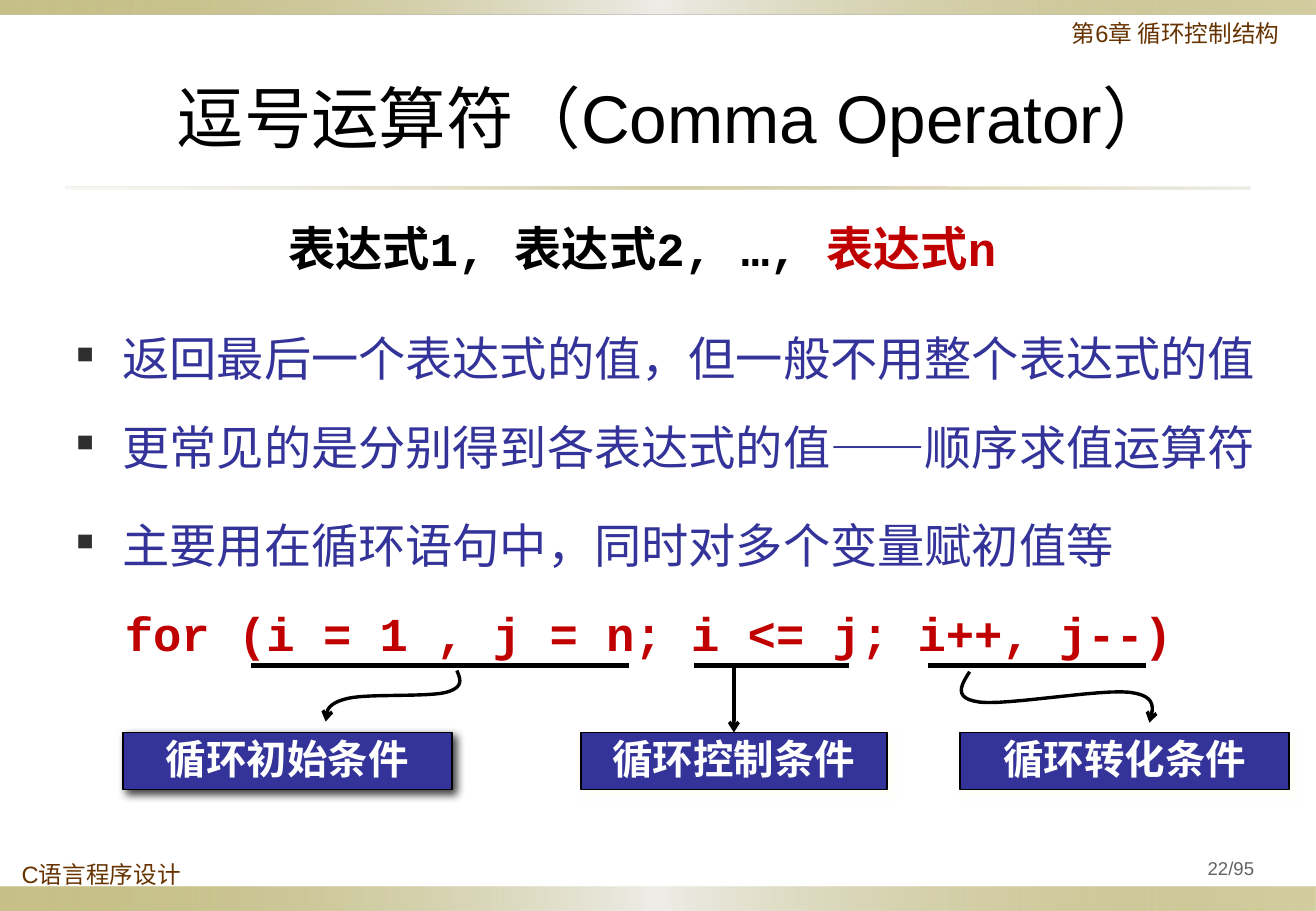
from lxml import etree
from pptx import Presentation, util as u
from pptx.dml.color import RGBColor
from pptx.enum import shapes, text
from pptx.oxml.ns import qn

PX = 9144
CJK = "Noto Sans CJK SC"
rgb = RGBColor.from_string


def px(*lengths):
    return [u.Emu(length * PX) for length in lengths]


def add_run(paragraph, words, size, font, color, bold=False):
    run = paragraph.add_run()
    run.text = words
    run.font.size = u.Pt(size)
    run.font.name = font
    run.font.bold = bold
    run.font.color.rgb = rgb(color)
    etree.SubElement(run.font._element, qn("a:ea"), typeface=CJK)


prs = Presentation()
prs.slide_width, prs.slide_height = px(1083, 750)
slide = prs.slides.add_slide(prs.slide_layouts[5])
items = slide.shapes

gold_bar = [("918415", 50), ("EEEDE8", 100), ("918415", 40)]
title_rule = [("DCD9CC", 20), ("918415", 40), ("DCD9CC", 50)]
for place, stops in [
    ((0, 730, 1083, 20), gold_bar),
    ((0, 0, 1083, 12), gold_bar),
    ((54, 154, 975, 2), title_rule),
]:
    band = items.add_shape(shapes.MSO_SHAPE.RECTANGLE, *px(*place))
    band.shadow.inherit = False
    band.line.fill.background()
    band.fill.gradient()
    band.fill.gradient_angle = 0
    stop_list = band._element.spPr.find(".//" + qn("a:gsLst"))
    stop_list.clear()
    for index, (color, alpha) in enumerate(stops):
        stop = etree.SubElement(stop_list, qn("a:gs"), pos=str(index * 50000))
        tint = etree.SubElement(stop, qn("a:srgbClr"), val=color)
        etree.SubElement(tint, qn("a:alpha"), val=str(alpha * 1000))

title = items.title
title.left, title.top, title.width, title.height = px(59, 52, 990, 88)
title.text_frame.auto_size = text.MSO_AUTO_SIZE.NONE
title.text_frame.vertical_anchor = text.MSO_ANCHOR.MIDDLE
heading = title.text_frame.paragraphs[0]
heading.alignment = text.PP_ALIGN.CENTER
add_run(heading, "逗号运算符（Comma Operator）", 40, "Arial", "000000")

LEFT, CENTER = text.PP_ALIGN.LEFT, text.PP_ALIGN.CENTER
for place, inset, align, anchor, runs in [
    ((8, 706, 156, 32), (10, 5), LEFT, text.MSO_ANCHOR.TOP,
     [("C语言程序设计", 14, "Arial", "663300")]),
    ((872, 13, 211, 39), (10, 5), LEFT, text.MSO_ANCHOR.TOP,
     [("第6章 循环控制结构", 14, "Arial", "663300")]),
    ((132, 186, 793, 43), (0, 0), CENTER, text.MSO_ANCHOR.TOP,
     [("表达式1, 表达式2, …, ", 28, "Courier New", "000000", True),
      ("表达式n", 28, "Courier New", "C00000", True)]),
    ((959, 700, 108, 31), (5, 5), CENTER, text.MSO_ANCHOR.MIDDLE,
     [("22/95", 11, "Arial", "636363")]),
]:
    frame = items.add_textbox(*px(*place)).text_frame
    frame.word_wrap = True
    frame.vertical_anchor = anchor
    frame.margin_left, frame.margin_top = px(*inset)
    frame.margin_right, frame.margin_bottom = px(*inset)
    frame.paragraphs[0].alignment = align
    frame.paragraphs[0].line_spacing = 0.9
    for run in runs:
        add_run(frame.paragraphs[0], *run)

body = items.add_textbox(*px(53, 257, 993, 282)).text_frame
body.word_wrap = True
for index, (words, before) in enumerate([
    ("返回最后一个表达式的值，但一般不用整个表达式的值", 0),
    ("更常见的是分别得到各表达式的值——顺序求值运算符", 6),
    ("主要用在循环语句中，同时对多个变量赋初值等", 12),
    ("for (i = 1 , j = n; i <= j; i++, j--)", 6),
]):
    point = body.add_paragraph() if index else body.paragraphs[0]
    point.line_spacing = 1.2
    point.space_before = u.Pt(before)
    point.space_after = u.Pt(6)
    props = point._element.get_or_add_pPr()
    if index == 3:
        props.set("marL", str(40 * PX))
        add_run(point, words, 28, "Courier New", "C00000", True)
    else:
        props.set("marL", str(38 * PX))
        props.set("indent", str(-38 * PX))
        bullet_color = etree.SubElement(props, qn("a:buClr"))
        etree.SubElement(bullet_color, qn("a:srgbClr"), val="2F2F2F")
        etree.SubElement(props, qn("a:buSzPct"), val="50000")
        etree.SubElement(props, qn("a:buChar"), char="■")
        add_run(point, words, 28, CJK, "333399")

conditions = []
for words, left, width, shade in [
    ("循环初始条件", 101, 271, "000000"),
    ("循环控制条件", 478, 252, "FFFFF4"),
    ("循环转化条件", 790, 271, "FFFFF4"),
]:
    condition = items.add_shape(shapes.MSO_SHAPE.RECTANGLE, *px(left, 603, width, 47))
    condition.fill.solid()
    condition.fill.fore_color.rgb = rgb("333399")
    condition.line.color.rgb = rgb("000000")
    condition.line.width = u.Pt(1)
    condition.shadow.inherit = False
    effects = condition._element.spPr.find(qn("a:effectLst"))
    shadow = etree.SubElement(effects, qn("a:outerShdw"), blurRad=str(u.Pt(5)),
                              dist=str(u.Pt(3)), dir="2700000", rotWithShape="0")
    shadow_color = etree.SubElement(shadow, qn("a:srgbClr"), val=shade)
    etree.SubElement(shadow_color, qn("a:alpha"), val="75000")
    condition.text_frame.vertical_anchor = text.MSO_ANCHOR.MIDDLE
    label = condition.text_frame.paragraphs[0]
    label.alignment = CENTER
    label.line_spacing = 0.9
    add_run(label, words, 24, CJK, "FFFFFF", True)
    conditions.append(condition)

arrows = []
for curve in [
    [(376, 552), (379, 559), (382, 566), (367, 570), (352, 574),
     (302, 571), (286, 575), (269, 579), (268, 586), (268, 594)],
    [(798, 553), (791, 564), (784, 575), (806, 578), (828, 581),
     (906, 567), (930, 570), (953, 573), (949, 584), (946, 595)],
]:
    points = []
    for first in range(0, 9, 3):
        a, b, c, d = curve[first:first + 4]
        for step in range(1, 13):
            t = step / 12
            points.append([
                PX * ((1 - t) ** 3 * a[k] + 3 * t * (1 - t) ** 2 * b[k]
                      + 3 * t ** 2 * (1 - t) * c[k] + t ** 3 * d[k])
                for k in (0, 1)
            ])
    builder = items.build_freeform(*px(*curve[0]))
    builder.add_line_segments(points, close=False)
    arrow = builder.convert_to_shape()
    arrow.fill.background()
    arrow.shadow.inherit = False
    arrows.append(arrow)

for start, end, top, bottom, weight in [
    (207, 518, 548, 548, 3),
    (571, 699, 548, 548, 3),
    (764, 943, 548, 548, 3),
    (604, 604, 548, 603, 2),
]:
    stroke = items.add_connector(shapes.MSO_CONNECTOR.STRAIGHT, *px(start, top, end, bottom))
    stroke.line.color.rgb = rgb("000000")
    stroke.line.width = u.Pt(weight)
    etree.SubElement(stroke._element.spPr, qn("a:effectLst"))
stroke.end_connect(conditions[1], 0)
arrows.append(stroke)

for arrow in arrows:
    arrow.line.color.rgb = rgb("000000")
    arrow.line.width = u.Pt(2)
    etree.SubElement(arrow._element.spPr.find(qn("a:ln")), qn("a:tailEnd"), type="arrow")

prs.save("out.pptx")
